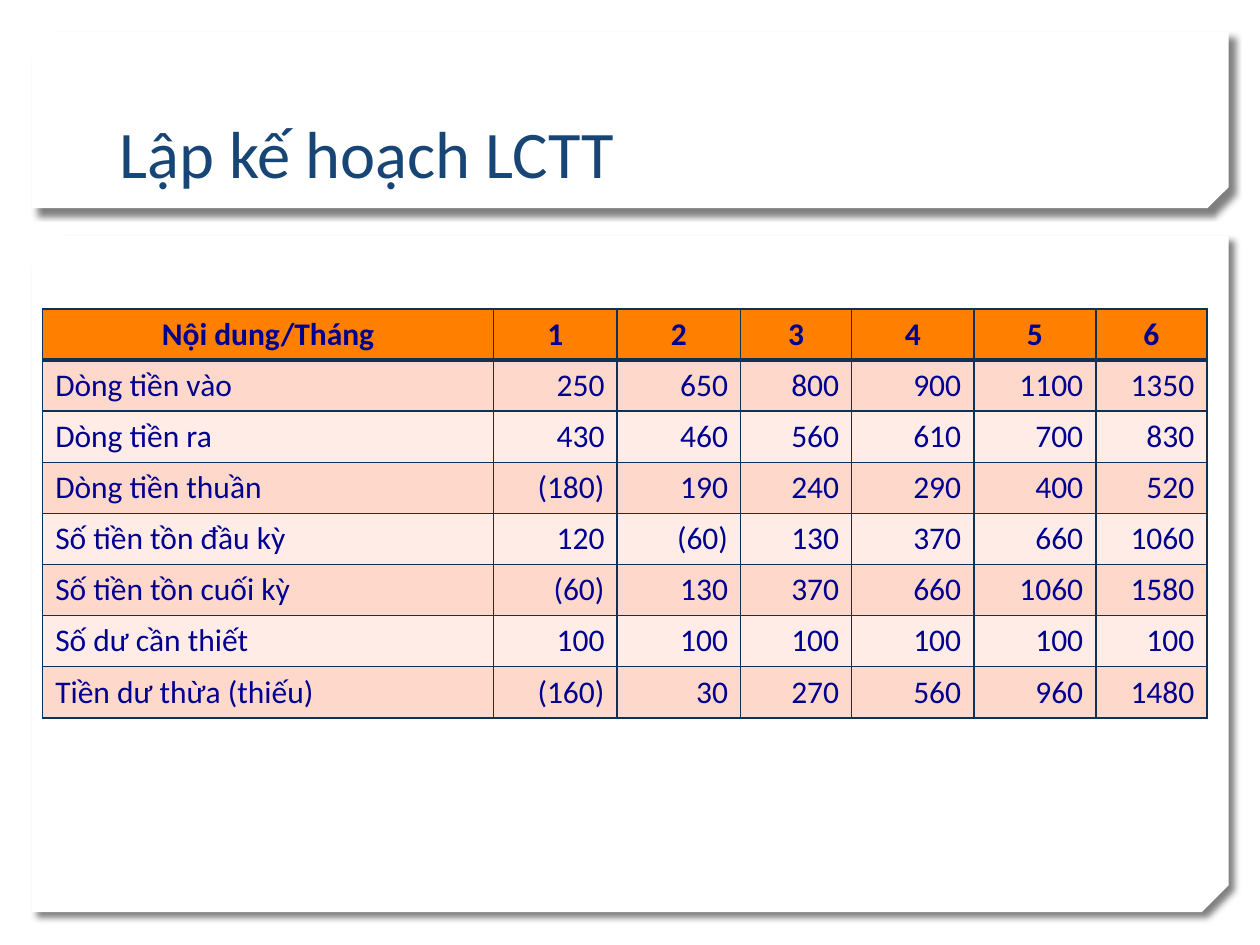
from lxml.etree import SubElement
from pptx import Presentation
from pptx.dml.color import RGBColor
from pptx.enum.shapes import MSO_SHAPE as Shape
from pptx.enum.text import MSO_ANCHOR as Anchor, PP_ALIGN as Align
from pptx.oxml.ns import qn
from pptx.util import Cm, Pt

COLORS = {
    "sheet": "FFFFFF",
    "shadow": "000000",
    "title": "174576",
    "text": "000090",
    "border": "103154",
    "header": "FF7F01",
    "odd row": "FFD8CC",
    "even row": "FFECE7",
}
FONT = "Calibri"

COLUMN_WIDTHS = [9.09, 2.49, 2.49, 2.24, 2.46, 2.46, 2.24]
ROW_HEIGHT = 1.03
CASH_PLAN = [
    ("Nội dung/Tháng", "1", "2", "3", "4", "5", "6"),
    ("Dòng tiền vào", "250", "650", "800", "900", "1100", "1350"),
    ("Dòng tiền ra", "430", "460", "560", "610", "700", "830"),
    ("Dòng tiền thuần", "(180)", "190", "240", "290", "400", "520"),
    ("Số tiền tồn đầu kỳ", "120", "(60)", "130", "370", "660", "1060"),
    ("Số tiền tồn cuối kỳ", "(60)", "130", "370", "660", "1060", "1580"),
    ("Số dư cần thiết", "100", "100", "100", "100", "100", "100"),
    ("Tiền dư thừa (thiếu)", "(160)", "30", "270", "560", "960", "1480"),
]


def color(name):
    return RGBColor.from_string(COLORS[name])


def write(frame, text, size=18, shade="text", bold=False, align=Align.LEFT):
    para = frame.paragraphs[0]
    para.alignment = align
    span = para.add_run()
    span.text = text
    span.font.name = FONT
    span.font.size = Pt(size)
    span.font.bold = bold
    span.font.color.rgb = color(shade)


def add_shadow(shape):
    shape.shadow.inherit = False
    effects = shape.element.spPr.find(qn("a:effectLst"))
    shadow = SubElement(effects, qn("a:outerShdw"), blurRad=str(Pt(4)),
                        dist=str(Pt(5)), dir=str(45 * 60000),
                        algn="tl", rotWithShape="0")
    tint = SubElement(shadow, qn("a:srgbClr"), val=COLORS["shadow"])
    SubElement(tint, qn("a:alpha"), val="50000")


def add_sheet(page, top, height, snip):
    """Add a white panel with its lower right corner cut off."""
    sheet = page.shapes.add_shape(Shape.SNIP_2_DIAG_RECTANGLE,
                                  Cm(0.64), Cm(top), Cm(24.13), Cm(height))
    sheet.adjustments[0] = 0
    sheet.adjustments[1] = snip
    sheet.element.spPr.find(qn("a:xfrm")).set("flipV", "1")
    sheet.fill.solid()
    sheet.fill.fore_color.rgb = color("sheet")
    sheet.line.fill.background()
    add_shadow(sheet)


def add_title(page, text):
    box = page.shapes.add_textbox(Cm(2.16), Cm(0.81), Cm(21.06), Cm(3.18))
    box.text_frame.word_wrap = True
    box.text_frame.vertical_anchor = Anchor.BOTTOM
    write(box.text_frame, text, size=38, shade="title")


def set_borders(cell, **widths):
    properties = cell._tc.get_or_add_tcPr()
    for side in "LRTB":
        line = SubElement(properties, qn(f"a:ln{side}"),
                          w=str(Pt(widths.get(side, 1))))
        fill = SubElement(line, qn("a:solidFill"))
        SubElement(fill, qn("a:srgbClr"), val=COLORS["border"])


def fill_cell(cell, text, row, column):
    header = row == 0
    # Neighbouring cells share the thick rule under the header
    set_borders(cell, T=3 if row == 1 else 1, B=3 if header else 1)
    cell.fill.solid()
    band = "odd row" if row % 2 else "even row"
    cell.fill.fore_color.rgb = color("header" if header else band)
    body_align = Align.RIGHT if column else Align.LEFT
    write(cell.text_frame, text, bold=header,
          align=Align.CENTER if header else body_align)


def add_cash_table(page):
    frame = page.shapes.add_table(
        len(CASH_PLAN), len(COLUMN_WIDTHS), Cm(0.86), Cm(6.23),
        Cm(sum(COLUMN_WIDTHS)), Cm(ROW_HEIGHT * len(CASH_PLAN)))
    table = frame.table
    for column, width in zip(table.columns, COLUMN_WIDTHS):
        column.width = Cm(width)
    for row, values in enumerate(CASH_PLAN):
        table.rows[row].height = Cm(ROW_HEIGHT)
        for column, text in enumerate(values):
            fill_cell(table.cell(row, column), text, row, column)


def main():
    deck = Presentation()
    deck.slide_width, deck.slide_height = Cm(25.4), Cm(19.05)
    page = deck.slides.add_slide(deck.slide_layouts[6])

    # Panels behind the content and the title
    add_sheet(page, top=4.75, height=13.64, snip=0.04)
    add_sheet(page, top=0.64, height=3.56, snip=0.12)

    # Title and cash flow plan
    add_title(page, "Lập kế hoạch LCTT")
    add_cash_table(page)

    deck.save("out.pptx")


if __name__ == "__main__":
    main()
